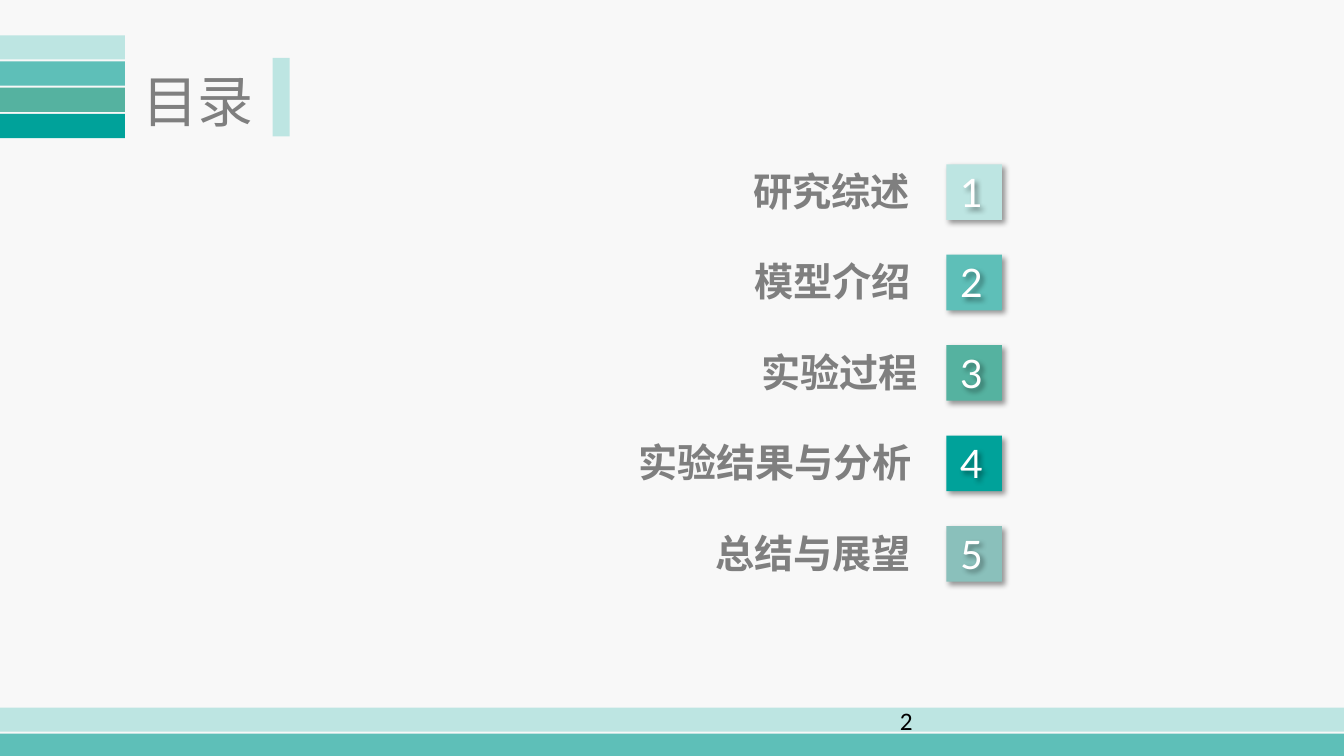
from dataclasses import dataclass
from lxml import etree
from pptx import Presentation
from pptx.dml.color import RGBColor
from pptx.enum import shapes, text
from pptx.oxml.ns import qn
from pptx.util import Cm, Pt

# Content: label, right edge and width of its box in cm
TITLE = "目录"
TOPICS = [
    ("研究综述", 23.17, 8.8),
    ("模型介绍", 23.19, 7.8),
    ("实验过程", 23.37, 15.2),
    ("实验结果与分析", 23.22, 12.8),
    ("总结与展望", 23.19, 12.8),
]
PAGE = "2"


@dataclass(frozen=True)
class Theme:
    tints: tuple = ("BDE5E2", "5EBFB8", "55B2A0", "00A29A", "8AC0BB")
    back: str = "F8F8F8"
    gray: str = "7F7F7F"
    white: str = "FFFFFF"
    black: str = "000000"
    han: str = "Noto Sans CJK SC"
    digit: str = "Lato"
    foot: str = "Calibri"
    title: int = 40
    item: int = 28
    page: int = 18


T = Theme()
WIDE, HIGH = 33.87, 19.05
BAND, STEP = 0.61, 0.66
TOP, PITCH, SIDE = 4.14, 2.28, 1.4

deck = Presentation()
deck.slide_width, deck.slide_height = Cm(WIDE), Cm(HIGH)
slide = deck.slides.add_slide(deck.slide_layouts[5])
fill = slide.background.fill
fill.solid()
fill.fore_color.rgb = RGBColor.from_string(T.back)


def block(x, y, w, h, color):
    box = slide.shapes.add_shape(
        shapes.MSO_SHAPE.RECTANGLE, Cm(x), Cm(y), Cm(w), Cm(h))
    box.shadow.inherit = False
    box.fill.solid()
    box.fill.fore_color.rgb = RGBColor.from_string(color)
    box.line.fill.background()
    return box


def shade(box):
    """Cast a soft shadow down to the right."""
    box.shadow.inherit = False
    list_ = box.element.spPr.find(qn("a:effectLst"))
    cast = etree.SubElement(
        list_, qn("a:outerShdw"), blurRad=str(Pt(4)), dist=str(Pt(3)),
        dir="2700000", algn="tl", rotWithShape="0")
    tint = etree.SubElement(cast, qn("a:srgbClr"), val=T.black)
    etree.SubElement(tint, qn("a:alpha"), val="40000")


def write(box, words, size, face, color, align, bold=False, space=None):
    frame = box.text_frame
    frame.word_wrap = True
    frame.auto_size = text.MSO_AUTO_SIZE.NONE
    frame.vertical_anchor = text.MSO_ANCHOR.TOP
    para = frame.paragraphs[0]
    para.alignment = align
    run = para.add_run()
    run.text = words
    font = run.font
    font.size, font.name, font.bold = Pt(size), face, bold
    font.color.rgb = RGBColor.from_string(color)
    props = run._r.get_or_add_rPr()
    etree.SubElement(props, qn("a:ea"), typeface=face)
    if space:
        props.set("spc", str(space))


def label(x, y, w, h, *style, **more):
    box = slide.shapes.add_textbox(Cm(x), Cm(y), Cm(w), Cm(h))
    write(box, *style, **more)
    return box


LEFT, MID, RIGHT = (text.PP_ALIGN.LEFT, text.PP_ALIGN.CENTER,
                    text.PP_ALIGN.RIGHT)

# Footer bands
for i, color in enumerate(T.tints[:2]):
    block(0, 17.83 + i * STEP, WIDE, BAND, color)

# Title with its stripes and upright bar
for i, color in enumerate(T.tints[:4]):
    block(0, 0.89 + i * STEP, 3.15, BAND, color)
block(6.87, 1.46, 0.43, 1.98, T.tints[0])
head = slide.shapes.title
head.left, head.top, head.width, head.height = (
    Cm(0.71), Cm(1.55), Cm(8.56), Cm(1.96))
write(head, TITLE, T.title, T.han, T.gray, MID)

# Agenda rows: label, tile and number
for i, ((words, edge, wide), color) in enumerate(zip(TOPICS, T.tints)):
    y = TOP + i * PITCH
    label(edge - wide, y - 0.05, wide, 1.45, words, T.item, T.han, T.gray,
          RIGHT, bold=True, space=-10)
    shade(block(23.85, y, SIDE, SIDE, color))
    shade(label(23.95, y - 0.03, 1.52, 1.45, str(i + 1), T.item, T.digit,
                T.white, LEFT))

# Page number
label(22.43, 17.65, 9.09, 1.02, PAGE, T.page, T.foot, T.black, LEFT)

deck.save("out.pptx")
